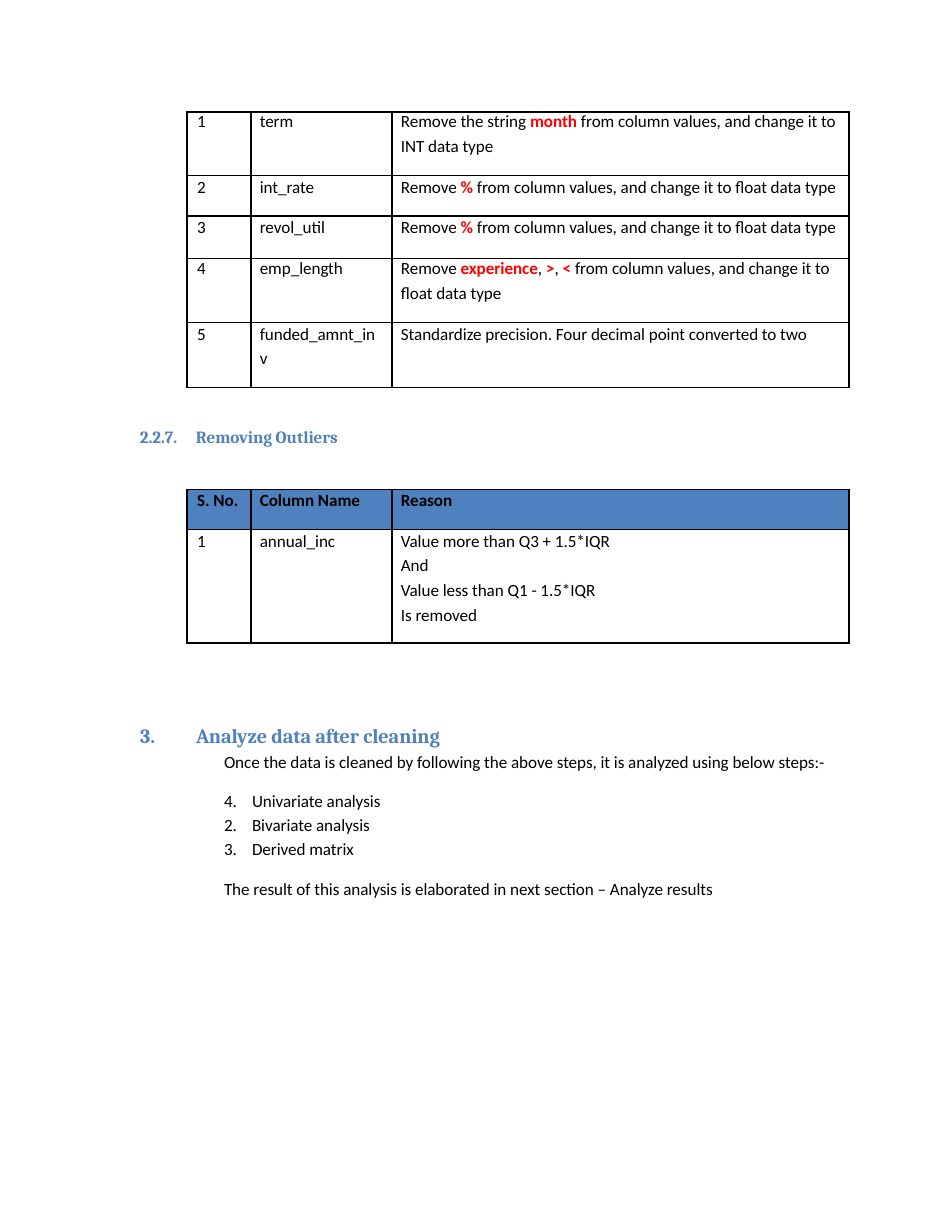
import pptx
import pptx.dml.color
import pptx.enum.text
import pptx.oxml.ns
import pptx.util
from lxml import etree
from dataclasses import dataclass


@dataclass(frozen=True)
class Theme:
    ink: str = "000000"
    accent: str = "4E81BD"
    alert: str = "FF0000"
    body_font: str = "Calibri"
    heading_font: str = "Cambria"
    body: float = 11
    heading: float = 13
    tracking: str = "-5"
    rule: float = 1


theme = Theme()

# Page grid: 85 columns by 110 rows
deck = pptx.Presentation()
deck.slide_width = pptx.util.Inches(8.5)
deck.slide_height = pptx.util.Inches(11)
column = deck.slide_width / 85
row = deck.slide_height / 110
page = deck.slides.add_slide(deck.slide_layouts[6])


def add_xml(parent, tag, **attributes):
    return etree.SubElement(parent, pptx.oxml.ns.qn("a:" + tag), attributes)


def write(para, text, before=0, indent=0.0, hanging=0.0, right=0.0, line=None, number=None,
          tab=None, size=theme.body, font=theme.body_font, color=theme.ink, bold=False):
    """Write one paragraph; text between bars is bold in the alert colour."""
    para.space_before = pptx.util.Pt(before)
    if line:
        para.line_spacing = line
    props = para._p.get_or_add_pPr()
    for name, columns in (("marL", indent), ("marR", right), ("indent", -hanging)):
        props.set(name, str(round(columns * column)))
    if number:
        add_xml(props, "buFont", typeface=font)
        add_xml(props, "buAutoNum", type="arabicPeriod", startAt=str(number))
    if tab:
        add_xml(add_xml(props, "tabLst"), "tab", pos=str(round(tab * column)), algn="l")
    for index, part in enumerate(text.split("|")):
        marked = index % 2 == 1
        span = para.add_run()
        span.text = part
        span.font.name = font
        span.font.size = pptx.util.Pt(size)
        span.font.bold = bold or marked
        span.font.color.rgb = pptx.dml.color.RGBColor.from_string(theme.alert if marked else color)
        span._r.get_or_add_rPr().set("spc", theme.tracking)


# Tables: top row, row heights, has a header, cell lines
float_rule = "Remove |% |from column values, and change it to float data type"
tables = [
    (10, [5.7, 3.6, 3.8, 5.7, 5.8], False, [
        ["1", "term", "Remove the string |month |from column values, and change it to\nINT data type"],
        ["2", "int_rate", float_rule],
        ["3", "revol_util", float_rule],
        ["4", "emp_length", "Remove |experience|, |>|, |< |from column values, and change it to\nfloat data type"],
        ["5", "funded_amnt_in\nv", "Standardize precision. Four decimal point converted to two"],
    ]),
    (43.7, [3.6, 10.1], True, [
        ["S. No.", "Column Name", "Reason"],
        ["1", "annual_inc", "Value more than Q3 + 1.5*IQR\nAnd\nValue less than Q1 - 1.5*IQR Is removed"],
    ]),
]
widths = [5.7, 12.6, 40.8]
tight_rows = ("1", "4")

for top, heights, has_header, records in tables:
    frame = page.shapes.add_table(len(records), len(widths), round(16.7 * column), round(top * row),
                                  round(sum(widths) * column), round(sum(heights) * row))
    grid = frame.table
    grid.first_row = has_header
    grid.horz_banding = False
    for index, width in enumerate(widths):
        grid.columns[index].width = round(width * column)
    for r, record in enumerate(records):
        grid.rows[r].height = round(heights[r] * row)
        is_header = has_header and r == 0
        tight = not has_header and record[0] in tight_rows
        for c, text in enumerate(record):
            cell = grid.cell(r, c)
            cell.margin_left = cell.margin_right = cell.margin_bottom = 0
            cell.margin_top = 0 if tight else round(0.1 * row)
            for index, line_text in enumerate(text.split("\n")):
                para = cell.text_frame.paragraphs[0] if index == 0 else cell.text_frame.add_paragraph()
                style = dict(indent=0.9 if c == 0 else 0.8, bold=is_header)
                if index == 0 and tight:
                    style["line"] = pptx.util.Pt(13.2)
                elif index == 2:
                    style.update(line=1.17, right=21.5)
                else:
                    style["before"] = 2.2 if index else 0.7
                write(para, line_text, **style)
            # Cell borders come before the fill
            cell_props = cell._tc.get_or_add_tcPr()
            for side in ("lnL", "lnR", "lnT", "lnB"):
                edge = add_xml(cell_props, side, w=str(pptx.util.Pt(theme.rule)))
                add_xml(add_xml(edge, "solidFill"), "srgbClr", val=theme.ink)
            if is_header:
                cell.fill.solid()
                cell.fill.fore_color.rgb = pptx.dml.color.RGBColor.from_string(theme.accent)
            else:
                cell.fill.background()

# Text boxes: left, top, width, height, top inset, paragraphs
heading = dict(font=theme.heading_font, color=theme.accent, bold=True)
step = dict(indent=10.1, hanging=2.5, tab=10.1)
boxes = [
    (12.4, 38, 18.3, 2.1, 0.1, [
        ("2.2.7.\tRemoving Outliers", dict(heading, before=1, indent=0.1, tab=4.6)),
    ]),
    (12.4, 64.1, 61.8, 16.3, 0.5, [
        ("Analyze data after cleaning",
         dict(heading, size=theme.heading, before=3.6, indent=5.1, hanging=5, number=3, tab=5.1)),
        ("Once the data is cleaned by following the above steps, it is analyzed using below steps:-",
         dict(before=2.2, indent=7.6)),
        ("Univariate analysis", dict(step, before=12.2, number=1)),
        ("Bivariate analysis", dict(step, before=2.2, number=2)),
        ("Derived matrix", dict(step, before=2.2, number=3)),
        ("The result of this analysis is elaborated in next section – Analyze results",
         dict(before=12.2, indent=7.6)),
    ]),
]
for left, top, width, height, inset, lines in boxes:
    box = page.shapes.add_textbox(round(left * column), round(top * row),
                                  round(width * column), round(height * row))
    body = box.text_frame
    body.word_wrap = True
    body.auto_size = pptx.enum.text.MSO_AUTO_SIZE.SHAPE_TO_FIT_TEXT
    body.margin_left = body.margin_right = body.margin_bottom = 0
    body.margin_top = round(inset * row)
    for index, (text, style) in enumerate(lines):
        para = body.paragraphs[0] if index == 0 else body.add_paragraph()
        write(para, text, **style)

deck.save("out.pptx")
